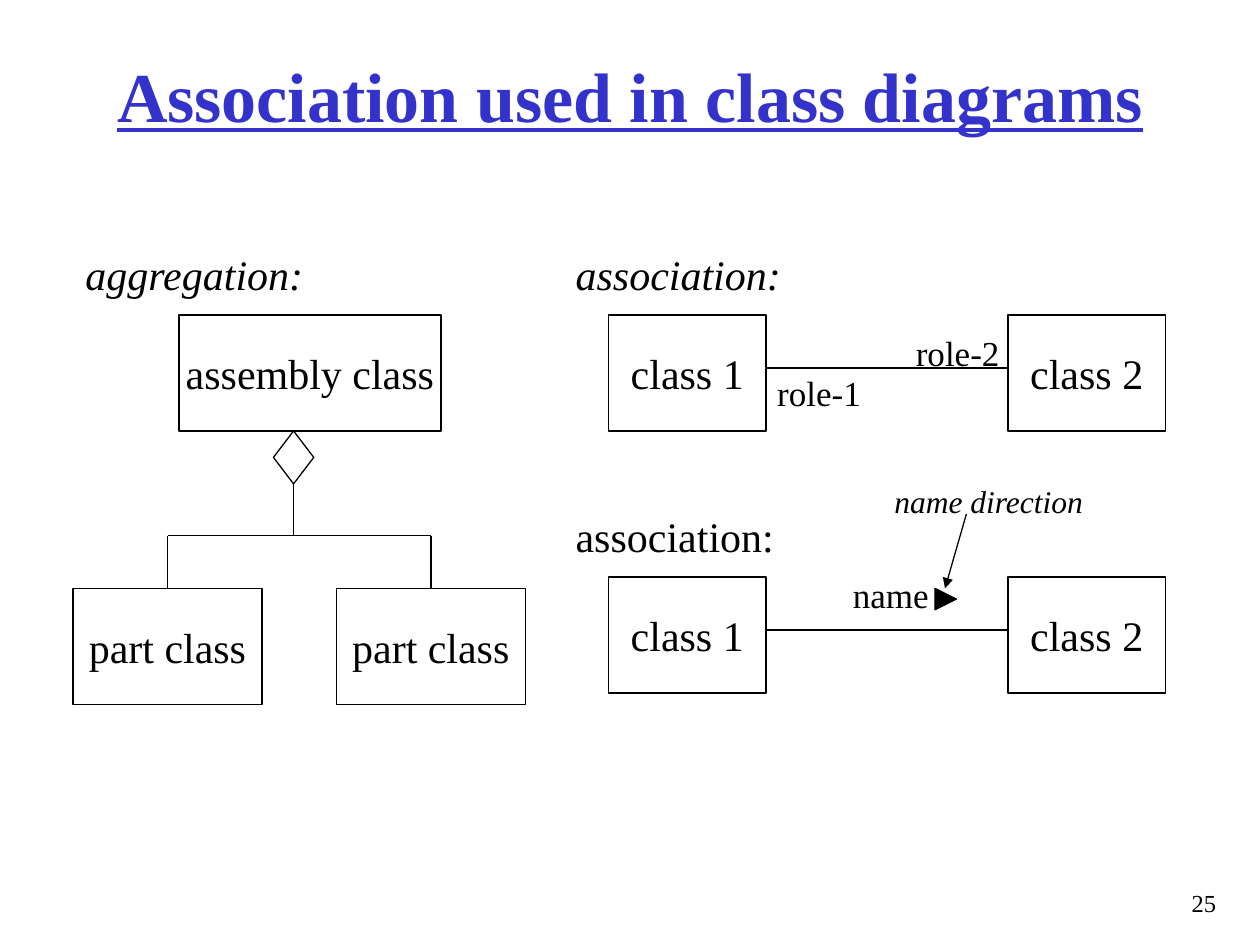
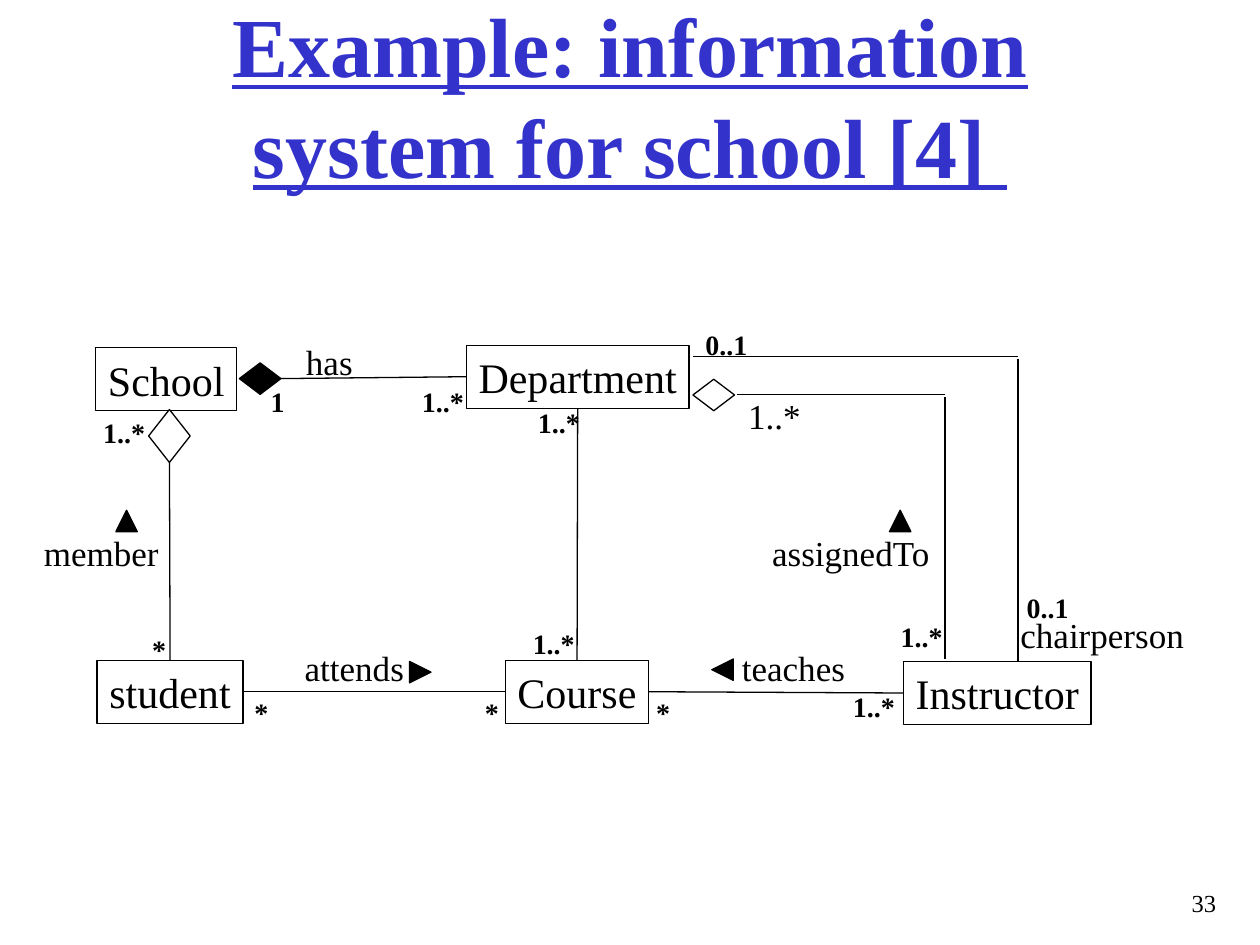
from typing import NamedTuple, Optional, Union

import pptx
import pptx.dml.color
import pptx.enum.shapes
import pptx.enum.text
import pptx.oxml
import pptx.oxml.ns
import pptx.util

Inches = pptx.util.Inches
SHAPES = pptx.enum.shapes.MSO_SHAPE
ALIGN = pptx.enum.text.PP_ALIGN
ANCHOR = pptx.enum.text.MSO_ANCHOR
AUTO_SIZE = pptx.enum.text.MSO_AUTO_SIZE

COLORS = {"title": "3333CC", "ink": "000000", "paper": "FFFFFF"}
FONT = "Times New Roman"
LINE_WIDTH = pptx.util.Pt(0.75)
LABEL_HEIGHTS = {24: 0.5, 20: 0.44, 18: 0.4, 16: 0.37}
LABEL_SLACK = 0.02  # keeps a label on one line
TOP, LEFT, BOTTOM, RIGHT = range(4)
ARROW_SIZE = 0.17


class ClassBox(NamedTuple):
    name: str
    left: float
    top: float
    width: float
    height: float = 0.92


class Label(NamedTuple):
    text: str
    left: float
    top: float
    width: float
    size: int = 20
    bold: bool = False
    italic: bool = False


class Multiplicity(NamedTuple):
    text: str
    left: float
    top: float


class NameArrow(NamedTuple):
    """Small solid triangle that shows the reading direction of a name."""
    left: float
    top: float
    rotation: int = 0


class Point(NamedTuple):
    x: float
    y: float


class Joint(NamedTuple):
    shape: pptx.shapes.autoshape.Shape
    side: int


End = Union[Point, Joint]


def rgb(name: str) -> pptx.dml.color.RGBColor:
    return pptx.dml.color.RGBColor.from_string(COLORS[name])


def set_font(paragraph, size: int, color: str = "ink", bold: bool = False,
             italic: bool = False, underline: bool = False) -> None:
    font = paragraph.font
    font.name, font.size = FONT, pptx.util.Pt(size)
    font.bold, font.italic, font.underline = bold, italic, underline
    font.color.rgb = rgb(color)


def add_text(slide, text: str, left: float, top: float, width: float,
             height: float):
    box = slide.shapes.add_textbox(Inches(left), Inches(top), Inches(width),
                                   Inches(height))
    box.text_frame.text = text
    return box.text_frame


def add_slide(deck, title: str, title_size: int, number: int):
    slide = deck.slides.add_slide(deck.slide_layouts[5])
    heading = slide.shapes.title
    heading.left, heading.top = Inches(0.75), Inches(0.25)
    heading.width, heading.height = Inches(8.5), Inches(1)
    frame = heading.text_frame
    frame.text = title
    frame.auto_size = AUTO_SIZE.NONE
    frame.vertical_anchor = ANCHOR.MIDDLE
    frame.paragraphs[0].alignment = ALIGN.CENTER
    set_font(frame.paragraphs[0], title_size, "title", bold=True,
             underline=True)

    footer = add_text(slide, str(number), 4.67, 7, 5.08, 0.33)
    footer.word_wrap = True
    footer.paragraphs[0].alignment = ALIGN.RIGHT
    set_font(footer.paragraphs[0], 14)
    return slide


def add_outlined(slide, preset, left: float, top: float, width: float,
                 height: float, fill: str = "paper"):
    shape = slide.shapes.add_shape(preset, Inches(left), Inches(top),
                                   Inches(width), Inches(height))
    shape.shadow.inherit = False
    shape.fill.solid()
    shape.fill.fore_color.rgb = rgb(fill)
    shape.line.color.rgb = rgb("ink")
    shape.line.width = LINE_WIDTH
    return shape


def add_class(slide, box: ClassBox):
    shape = add_outlined(slide, SHAPES.RECTANGLE, *box[1:])
    frame = shape.text_frame
    frame.text = box.name
    frame.word_wrap = False
    frame.vertical_anchor = ANCHOR.MIDDLE
    frame.paragraphs[0].alignment = ALIGN.CENTER
    set_font(frame.paragraphs[0], 24)
    return shape


def add_label(slide, label: Label) -> None:
    frame = add_text(slide, label.text, label.left, label.top,
                     label.width + LABEL_SLACK, LABEL_HEIGHTS[label.size])
    frame.word_wrap = False
    frame.auto_size = AUTO_SIZE.SHAPE_TO_FIT_TEXT
    set_font(frame.paragraphs[0], label.size, bold=label.bold,
             italic=label.italic)


def add_multiplicity(slide, mark: Multiplicity) -> None:
    width = 0.31 if len(mark.text) == 1 else 0.53
    add_label(slide, Label(*mark, width, 16, bold=True))


def add_name_arrow(slide, arrow: NameArrow) -> None:
    triangle = add_outlined(slide, SHAPES.ISOSCELES_TRIANGLE, arrow.left,
                            arrow.top, ARROW_SIZE, ARROW_SIZE, "ink")
    triangle.rotation = arrow.rotation


def add_link(slide, start: End, end: End,
             arrowhead: Optional[str] = None) -> None:
    """Draw a straight line between points or joined shape sides."""
    link = slide.shapes.add_connector(
        pptx.enum.shapes.MSO_CONNECTOR.STRAIGHT,
        *(Inches(value) if isinstance(place, Point) else 0
          for place in (start, end) for value in place))
    for place, connect in ((start, link.begin_connect),
                           (end, link.end_connect)):
        if isinstance(place, Joint):
            connect(place.shape, place.side)
    link.line.color.rgb = rgb("ink")
    link.line.width = LINE_WIDTH
    properties = link.element.spPr
    if arrowhead:
        outline = properties.find(pptx.oxml.ns.qn("a:ln"))
        tail = pptx.oxml.parse_xml(
            f'<a:tailEnd {pptx.oxml.ns.nsdecls("a")} type="{arrowhead}"/>')
        outline.append(tail)
    properties.append(pptx.oxml.parse_xml(
        f'<a:effectLst {pptx.oxml.ns.nsdecls("a")}/>'))


def build_association_slide(deck) -> None:
    slide = add_slide(deck, "Association used in class diagrams", 40, 25)

    add_class(slide, ClassBox("assembly class", 1.42, 2.5, 2.08))
    aggregation = add_outlined(slide, SHAPES.DIAMOND, 2.17, 3.42, 0.32, 0.42)
    branch_y = 4.25
    add_link(slide, Joint(aggregation, BOTTOM), Point(2.33, branch_y))
    add_link(slide, Point(1.33, branch_y), Point(3.42, branch_y))
    for left in (0.58, 2.67):
        part = add_class(slide, ClassBox("part class", left, 4.67, 1.5))
        add_link(slide, Point(left + 0.75, branch_y), Joint(part, TOP))

    for top in (2.5, 4.58):
        add_class(slide, ClassBox("class 1", 4.83, top, 1.25))
        add_class(slide, ClassBox("class 2", 8, top, 1.25))
        add_link(slide, Point(6.08, top + 0.42), Point(8, top + 0.42))

    for label in (
        Label("aggregation:", 0.58, 1.92, 1.94, 24, italic=True),
        Label("association:", 4.47, 1.92, 1.83, 24, italic=True),
        Label("association:", 4.47, 4, 1.77, 24),
        Label("role-1", 6.07, 2.9, 0.86),
        Label("role-2", 7.17, 2.58, 0.86),
        Label("name", 6.67, 4.5, 0.8),
        Label("name direction", 7, 3.78, 1.7, 18, italic=True),
    ):
        add_label(slide, label)
    add_name_arrow(slide, NameArrow(7.42, 4.67, 90))
    add_link(slide, Point(7.67, 4.08), Point(7.5, 4.67), "triangle")


def build_school_slide(deck) -> None:
    slide = add_slide(deck, "Example: information system for school [4] ",
                      48, 33)

    add_class(slide, ClassBox("School", 0.76, 2.76, 1.12, 0.5))
    student = add_class(slide, ClassBox("student", 0.77, 5.24, 1.16, 0.5))
    course = add_class(slide, ClassBox("Course", 4.01, 5.24, 1.14, 0.5))
    department = add_class(slide,
                           ClassBox("Department", 3.7, 2.74, 1.77, 0.5))
    instructor = add_class(slide,
                           ClassBox("Instructor", 7.17, 5.25, 1.49, 0.5))

    membership = add_outlined(slide, SHAPES.DIAMOND, 1.18, 3.25, 0.33, 0.42)
    composition = add_outlined(slide, SHAPES.DIAMOND, 1.9, 2.88, 0.33, 0.25,
                               "ink")
    add_outlined(slide, SHAPES.DIAMOND, 5.5, 3.01, 0.33, 0.25)

    for start, end in (
        (Joint(membership, BOTTOM), Joint(student, TOP)),
        (Joint(department, LEFT), Joint(composition, RIGHT)),
        (Joint(department, BOTTOM), Joint(course, TOP)),
        (Joint(course, LEFT), Joint(student, RIGHT)),
        (Joint(instructor, LEFT), Joint(course, RIGHT)),
        (Point(5.85, 3.13), Point(7.5, 3.13)),
        (Point(7.5, 3.15), Point(7.5, 5.23)),
        (Point(5.5, 2.83), Point(8.08, 2.83)),
        (Point(8.08, 2.85), Point(8.08, 5.25)),
    ):
        add_link(slide, start, end)

    for label in (
        Label("has", 2.33, 2.65, 0.57),
        Label("member", 0.25, 4.17, 1.11),
        Label("attends", 2.32, 5.08, 0.99),
        Label("teaches", 5.79, 5.08, 1.02),
        Label("assignedTo", 6.03, 4.17, 1.47),
        Label("chairperson", 8, 4.82, 1.5),
        Label("1..*", 5.84, 3.08, 0.61),
    ):
        add_label(slide, label)

    for arrow in (NameArrow(0.92, 4.05), NameArrow(7.06, 4.05),
                  NameArrow(3.25, 5.25, 90), NameArrow(5.65, 5.23, 270)):
        add_name_arrow(slide, arrow)

    for mark in (
        Multiplicity("0..1", 8.05, 4.64),
        Multiplicity("0..1", 5.5, 2.55),
        Multiplicity("1..*", 7.05, 4.87),
        Multiplicity("1..*", 6.67, 5.42),
        Multiplicity("1..*", 0.72, 3.25),
        Multiplicity("*", 1.11, 4.97),
        Multiplicity("*", 1.92, 5.47),
        Multiplicity("*", 3.75, 5.47),
        Multiplicity("1", 2.05, 3),
        Multiplicity("1..*", 3.25, 3),
        Multiplicity("*", 5.11, 5.47),
        Multiplicity("1..*", 4.17, 3.17),
        Multiplicity("1..*", 4.13, 4.92),
    ):
        add_multiplicity(slide, mark)


def main() -> None:
    deck = pptx.Presentation()
    deck.slide_width, deck.slide_height = Inches(10), Inches(7.5)
    build_association_slide(deck)
    build_school_slide(deck)
    deck.save("out.pptx")


if __name__ == "__main__":
    main()
